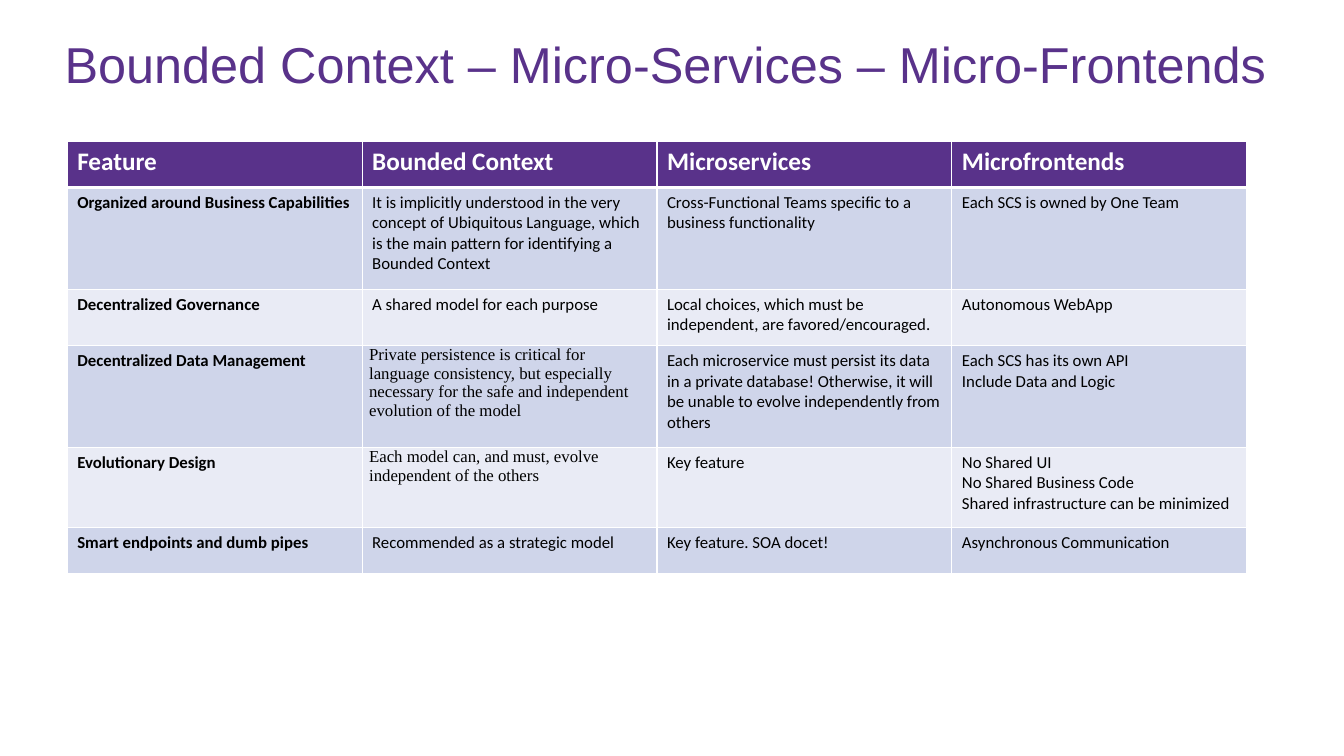
from dataclasses import dataclass

from lxml import etree
from pptx import Presentation
from pptx.dml.color import RGBColor
from pptx.enum.text import MSO_ANCHOR, MSO_AUTO_SIZE, PP_ALIGN
from pptx.oxml.ns import qn
from pptx.util import Inches, Pt

LEFT = PP_ALIGN.LEFT
MIDDLE = MSO_ANCHOR.MIDDLE
NO_AUTOFIT = MSO_AUTO_SIZE.NONE
TITLE_ONLY = 5


@dataclass(frozen=True)
class Theme:
    purple: str = "59328A"
    white: str = "FFFFFF"
    black: str = "000000"
    bands: tuple = ("CFD5EA", "E9EBF5")
    title_font: str = "Arial"
    body_font: str = "Calibri"
    serif_font: str = "Times New Roman"
    title_size: int = 36
    header_size: int = 18
    body_size: int = 12
    rule: int = 1
    header_rule: int = 3


THEME = Theme()
SLIDE_WIDTH, SLIDE_HEIGHT = Inches(13.33), Inches(7.5)
COLUMN_WIDTH = Inches(11.7 / 4)
ROW_HEIGHTS = [Inches(h) for h in (0.46, 1.01, 0.56, 1.01, 0.79, 0.46)]
TIGHT_MARGIN = Inches(0.07)

TITLE = "Bounded Context – Micro-Services – Micro-Frontends"
HEADERS = ["Feature", "Bounded Context", "Microservices", "Microfrontends"]
# Within a cell, a list holds paragraphs and "\n" is a line break.
FEATURES = [
    ["Organized around Business Capabilities",
     "It is implicitly understood in the very concept of Ubiquitous Language, "
     "which is the main pattern for identifying a Bounded Context",
     "Cross-Functional Teams specific to a business functionality",
     "Each SCS is owned by One Team"],
    ["Decentralized Governance",
     "A shared model for each purpose",
     "Local choices, which must be independent, are favored/encouraged.",
     "Autonomous WebApp"],
    ["Decentralized Data Management",
     "Private persistence is critical for language consistency, but especially "
     "necessary for the safe and independent evolution of the model",
     "Each microservice must persist its data in a private database! "
     "Otherwise, it will be unable to evolve independently from others",
     "Each SCS has its own API \nInclude Data and Logic"],
    ["Evolutionary Design",
     "Each model can, and must, evolve independent of the others",
     "Key feature",
     ["No Shared UI\nNo Shared Business Code",
      "Shared infrastructure can be minimized"]],
    ["Smart endpoints and dumb pipes",
     "Recommended as a strategic model",
     "Key feature. SOA docet!",
     "Asynchronous Communication"],
]
SERIF_CELLS = {(3, 1), (4, 1)}


def add_run(paragraph, text, font, size, color, bold=False):
    run = paragraph.add_run()
    run.text = text
    run.font.name = font
    run.font.size = Pt(size)
    run.font.bold = bold
    run.font.color.rgb = RGBColor.from_string(color)


def add_title(slide):
    title = slide.shapes.title
    title.left, title.top = int(SLIDE_WIDTH * 0.0405), int(SLIDE_HEIGHT * 0.0213)
    title.width, title.height = int(SLIDE_WIDTH * 0.92), int(SLIDE_HEIGHT * 0.135)
    frame = title.text_frame
    frame.auto_size = NO_AUTOFIT
    frame.word_wrap = True
    frame.vertical_anchor = MIDDLE
    paragraph = frame.paragraphs[0]
    paragraph.alignment = LEFT
    paragraph.line_spacing = 0.9
    add_run(paragraph, TITLE, THEME.title_font, THEME.title_size, THEME.purple)


def set_borders(cell, top, bottom):
    properties = cell._tc.get_or_add_tcPr()
    sides = {"L": THEME.rule, "R": THEME.rule, "T": top, "B": bottom}
    for side, weight in sides.items():
        line = etree.SubElement(properties, qn(f"a:ln{side}"), w=str(Pt(weight)))
        fill = etree.SubElement(line, qn("a:solidFill"))
        etree.SubElement(fill, qn("a:srgbClr"), val=THEME.white)


def fill_cell(cell, content, fill, **run_style):
    cell.fill.solid()
    cell.fill.fore_color.rgb = RGBColor.from_string(fill)
    frame = cell.text_frame
    paragraphs = content if isinstance(content, list) else [content]
    for index, text in enumerate(paragraphs):
        paragraph = frame.add_paragraph() if index else frame.paragraphs[0]
        for line_index, line in enumerate(text.split("\n")):
            if line_index:
                paragraph.add_line_break()
            add_run(paragraph, line, **run_style)


def add_feature_table(slide):
    rows = [HEADERS] + FEATURES
    table = slide.shapes.add_table(
        len(rows), len(HEADERS), int(SLIDE_WIDTH * 0.05), Inches(1.4),
        COLUMN_WIDTH * len(HEADERS), sum(ROW_HEIGHTS)).table
    for column in table.columns:
        column.width = COLUMN_WIDTH
    for r, contents in enumerate(rows):
        table.rows[r].height = ROW_HEIGHTS[r]
        for c, content in enumerate(contents):
            cell = table.cell(r, c)
            set_borders(cell,
                        top=THEME.header_rule if r == 1 else THEME.rule,
                        bottom=THEME.header_rule if r == 0 else THEME.rule)
            if r == 0:
                fill_cell(cell, content, THEME.purple, font=THEME.body_font,
                          size=THEME.header_size, color=THEME.white, bold=True)
                continue
            serif = (r, c) in SERIF_CELLS
            if serif:
                cell.margin_left = cell.margin_right = TIGHT_MARGIN
                cell.margin_top = cell.margin_bottom = 0
            fill_cell(cell, content, THEME.bands[(r - 1) % 2],
                      font=THEME.serif_font if serif else THEME.body_font,
                      size=THEME.body_size, color=THEME.black, bold=c == 0)


def main():
    presentation = Presentation()
    presentation.slide_width, presentation.slide_height = SLIDE_WIDTH, SLIDE_HEIGHT
    slide = presentation.slides.add_slide(presentation.slide_layouts[TITLE_ONLY])
    add_title(slide)
    add_feature_table(slide)
    presentation.save("out.pptx")


if __name__ == "__main__":
    main()
